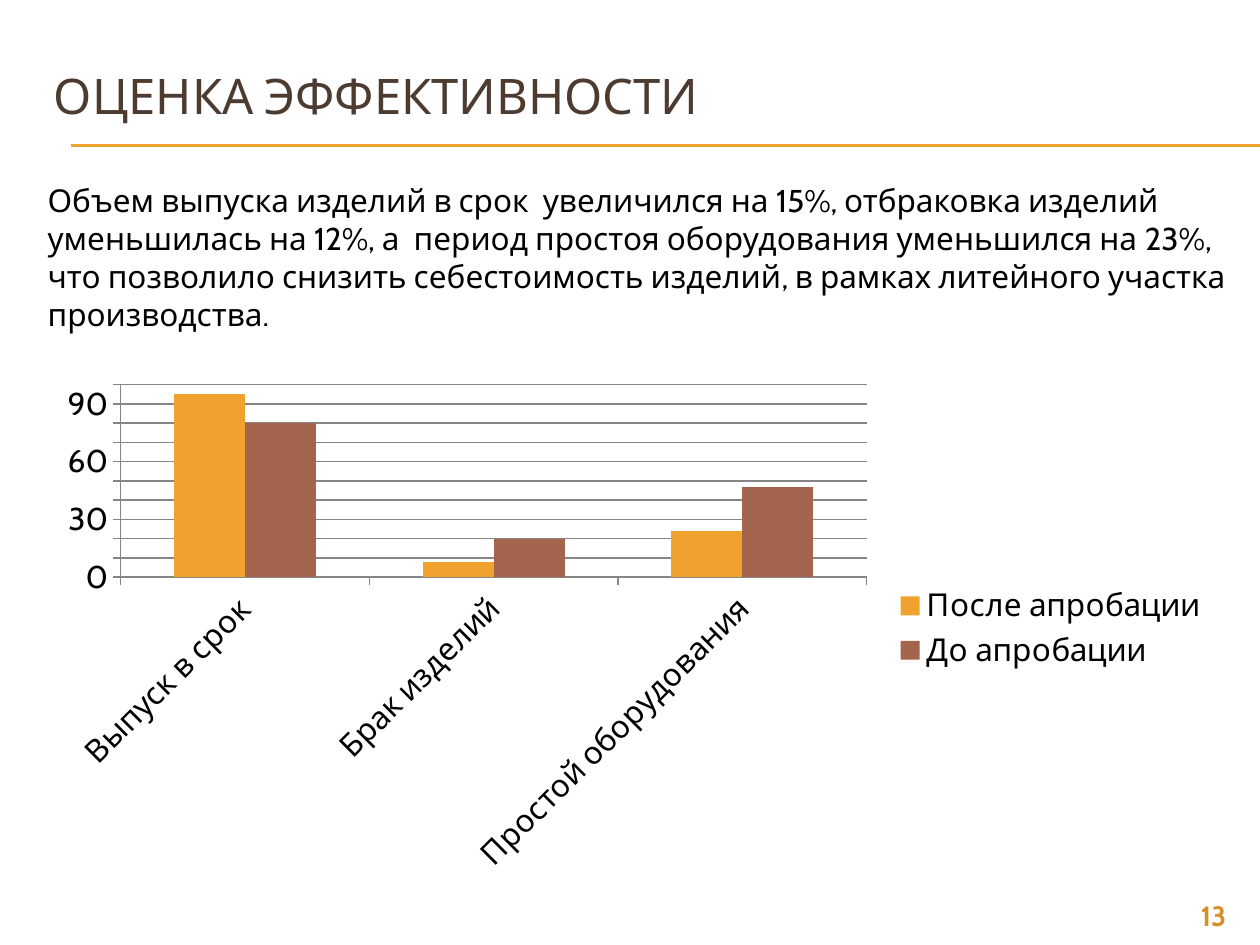
"""Build the slide that rates efficiency before and after a trial."""
import pptx
import pptx.chart.data
import pptx.dml.color
import pptx.enum.chart
import pptx.enum.shapes
import pptx.enum.text
import pptx.util
import lxml.etree

Inches, Pt, RGB = pptx.util.Inches, pptx.util.Pt, pptx.dml.color.RGBColor
ALIGN, ANCHOR = pptx.enum.text.PP_ALIGN, pptx.enum.text.MSO_ANCHOR
BLACK = RGB(0x00, 0x00, 0x00)
BROWN = RGB(0x4E, 0x3B, 0x30)
AMBER = RGB(0xF0, 0xA2, 0x2E)
DARK_AMBER = RGB(0xD4, 0x8F, 0x29)
RUST = RGB(0xA5, 0x64, 0x4E)
GRAY = RGB(0x86, 0x86, 0x86)
FONT = "Cabin"
WIDTH, HEIGHT = 10, 7.5

TITLE = "ОЦЕНКА ЭФФЕКТИВНОСТИ"
SUMMARY = (
    "Объем выпуска изделий в срок  увеличился на 15%, отбраковка изделий "
    "уменьшилась на 12%, а  период простоя оборудования уменьшился на 23%, "
    "что позволило снизить себестоимость изделий, в рамках литейного участка "
    "производства."
)
PAGE = "13"
CATEGORIES = ["Выпуск в срок", "Брак изделий", "Простой оборудования"]
SERIES = [
    ("После апробации", (95, 8, 24), AMBER),
    ("До апробации", (80, 20, 47), RUST),
]
TEXTS = [
    (TITLE, (0.33, 0.29, 9.5, 0.92), ANCHOR.MIDDLE, ALIGN.LEFT,
     {"size": Pt(28), "bold": False}, BROWN),
    (SUMMARY, (0.28, 1.39, 9.6, 1.31), ANCHOR.TOP, ALIGN.LEFT,
     {"size": Pt(18), "bold": False}, BLACK),
    (PAGE, (9, 7.08, 0.83, 0.27), ANCHOR.TOP, ALIGN.RIGHT,
     {"size": Pt(16), "bold": True}, DARK_AMBER),
]
RULE_LEFT, RULE_TOPS = 0.56, (1.15, 1.16)
CHART_BOX = (0.35, 2.96, 9.34, 4.05)


def set_all(target, values):
    for name, value in values.items():
        setattr(target, name, value)


def style_font(font, color, values):
    set_all(font, {"name": FONT, **values})
    font.color.rgb = color


def style_line(line, color):
    line.color.rgb = color
    line.width = Pt(0.75)


def add_rule(slide, top):
    rule = slide.shapes.add_connector(
        pptx.enum.shapes.MSO_CONNECTOR.STRAIGHT,
        *map(Inches, (RULE_LEFT, top, WIDTH, top)))
    style_line(rule.line, AMBER)
    lxml.etree.SubElement(rule.element.spPr, pptx.oxml.ns.qn("a:effectLst"))


def add_text(slide, wording, box, anchor, align, font, color):
    frame = slide.shapes.add_textbox(*map(Inches, box)).text_frame
    set_all(frame, {"word_wrap": True, "vertical_anchor": anchor,
                    "text": wording})
    paragraph = frame.paragraphs[0]
    paragraph.alignment = align
    style_font(paragraph.runs[0].font, color, font)


def add_results(slide):
    data = pptx.chart.data.CategoryChartData()
    data.categories = CATEGORIES
    for name, values, _ in SERIES:
        data.add_series(name, values)
    chart = slide.shapes.add_chart(
        pptx.enum.chart.XL_CHART_TYPE.COLUMN_CLUSTERED,
        *map(Inches, CHART_BOX), data).chart
    style_font(chart.font, BLACK, {"size": Pt(18), "bold": False})
    set_all(chart, {"has_title": False, "has_legend": True})
    set_all(chart.legend, {
        "position": pptx.enum.chart.XL_LEGEND_POSITION.RIGHT,
        "include_in_layout": False})
    plot = chart.plots[0]
    set_all(plot, {"gap_width": 150, "overlap": 0, "vary_by_categories": False})
    for series, (_, _, color) in zip(plot.series, SERIES):
        series.format.fill.solid()
        series.format.fill.fore_color.rgb = color
    outside = pptx.enum.chart.XL_TICK_MARK.OUTSIDE
    for axis in (chart.category_axis, chart.value_axis):
        axis.major_tick_mark = outside
        style_line(axis.format.line, GRAY)
        style_font(axis.tick_labels.font, BLACK, {"size": Pt(18), "bold": False})
    set_all(chart.value_axis, {"minimum_scale": 0, "maximum_scale": 100,
                               "major_unit": 10})
    style_line(chart.value_axis.major_gridlines.format.line, GRAY)
    labels = chart.category_axis._element.find(
        ".//" + pptx.oxml.ns.qn("a:bodyPr"))
    labels.set("rot", "-2700000")


def main():
    deck = pptx.Presentation()
    set_all(deck, {"slide_width": Inches(WIDTH), "slide_height": Inches(HEIGHT)})
    slide = deck.slides.add_slide(deck.slide_layouts[6])
    for top in RULE_TOPS:
        add_rule(slide, top)
    add_results(slide)
    for text in TEXTS:
        add_text(slide, *text)
    deck.save("out.pptx")


if __name__ == "__main__":
    main()
